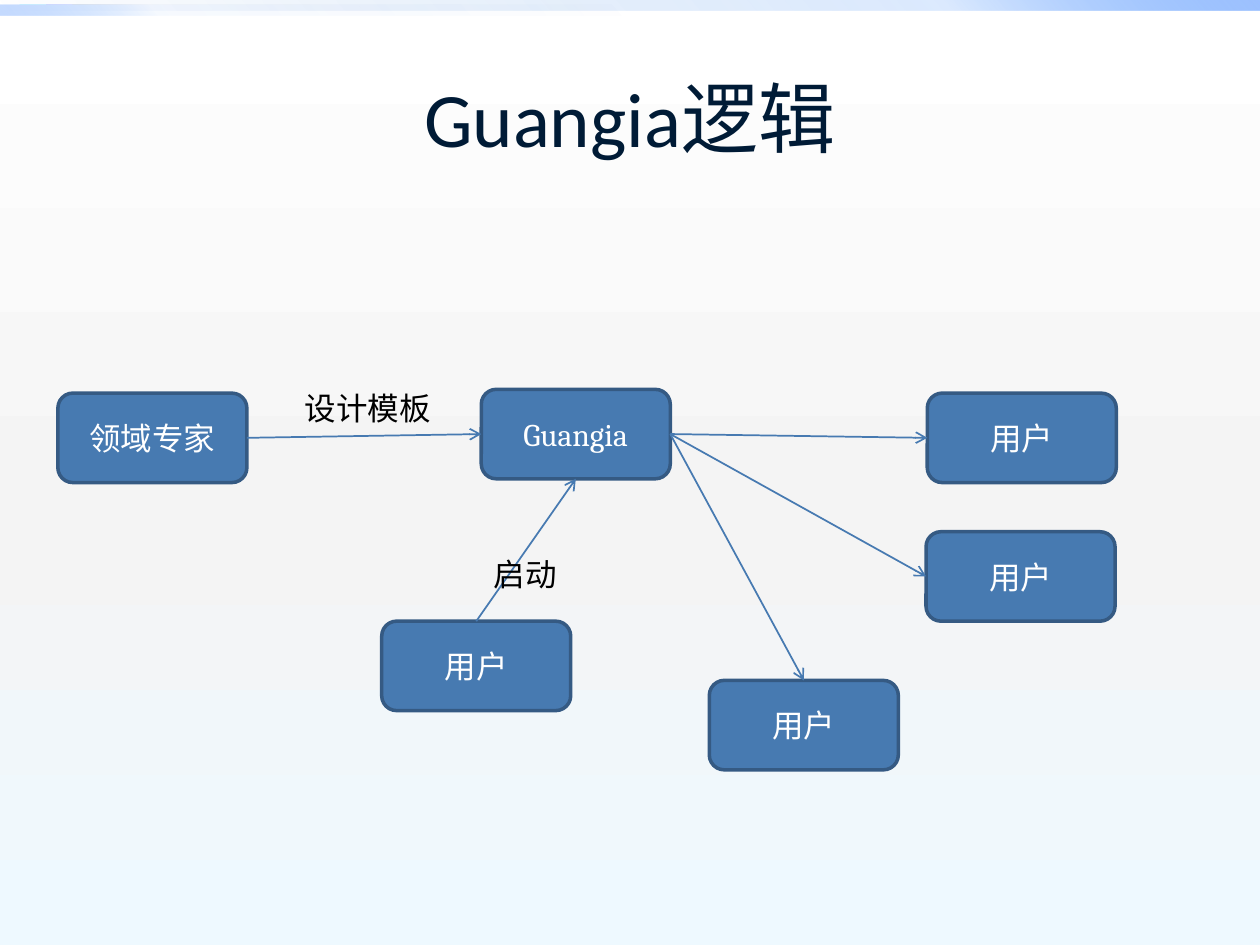
from lxml.etree import SubElement
from pptx import Presentation
from pptx.dml.color import RGBColor
from pptx.enum.shapes import MSO_CONNECTOR, MSO_SHAPE
from pptx.enum.text import MSO_ANCHOR, MSO_AUTO_SIZE, PP_ALIGN
from pptx.oxml.ns import qn
from pptx.util import Inches, Pt

TOP, LEFT, BOTTOM, RIGHT = range(4)  # connection sites of a box


def color(value):
    return RGBColor.from_string(value)


class DiagramSlide:
    BLUE, BORDER = "477AB1", "355A83"
    BOX_SIZE = Inches(1.5), Inches(0.71)
    LABEL = {"name": "Cambria", "size": Pt(18)}
    TITLE = {"name": "Calibri", "size": Pt(44)}

    def __init__(self, slide):
        self.slide = slide

    def set_gradient(self, fill, parent, stops, angle):
        """Fill with (percent, colour, opacity) stops at a clockwise angle."""
        fill.gradient()
        fill.gradient_angle = 360 - angle
        stop_list = parent.find(".//" + qn("a:gsLst"))
        for old_stop in list(stop_list):
            stop_list.remove(old_stop)
        for percent, value, opacity in stops:
            stop = SubElement(stop_list, qn("a:gs"), pos=str(percent * 1000))
            shade = SubElement(stop, qn("a:srgbClr"), val=value)
            if opacity < 100:
                SubElement(shade, qn("a:alpha"), val=str(opacity * 1000))

    def background(self, stops, angle):
        self.set_gradient(self.slide.background.fill, self.slide.element, stops, angle)

    def band(self, top, width, stops, angle):
        shape = self.slide.shapes.add_shape(
            MSO_SHAPE.RECTANGLE, 0, Inches(top), Inches(width), Inches(0.08))
        shape.shadow.inherit = False
        shape.line.fill.background()
        self.set_gradient(shape.fill, shape.element, stops, angle)

    def add_text(self, frame, text, style, value, alignment=PP_ALIGN.CENTER):
        paragraph = frame.paragraphs[0]
        paragraph.alignment = alignment
        run = paragraph.add_run()
        run.text = text
        for name, setting in style.items():
            setattr(run.font, name, setting)
        run.font.color.rgb = color(value)

    def title(self, text):
        frame = self.slide.shapes.add_textbox(
            Inches(0.5), Inches(0.3), Inches(9), Inches(1.25)).text_frame
        frame.word_wrap = True
        frame.vertical_anchor = MSO_ANCHOR.MIDDLE
        self.add_text(frame, text, self.TITLE, "001B36")

    def label(self, text, left, top, width):
        frame = self.slide.shapes.add_textbox(
            Inches(left), Inches(top), Inches(width), Inches(0.4)).text_frame
        frame.word_wrap = False
        frame.auto_size = MSO_AUTO_SIZE.SHAPE_TO_FIT_TEXT
        self.add_text(frame, text, self.LABEL, "000000", PP_ALIGN.LEFT)

    def box(self, text, left, top):
        shape = self.slide.shapes.add_shape(
            MSO_SHAPE.ROUNDED_RECTANGLE, Inches(left), Inches(top), *self.BOX_SIZE)
        shape.shadow.inherit = False
        shape.fill.solid()
        shape.fill.fore_color.rgb = color(self.BLUE)
        shape.line.color.rgb = color(self.BORDER)
        shape.line.width = Pt(2)
        shape.text_frame.vertical_anchor = MSO_ANCHOR.MIDDLE
        self.add_text(shape.text_frame, text, self.LABEL, "FFFFFF")
        return shape

    def arrow(self, start, start_site, end, end_site):
        connector = self.slide.shapes.add_connector(MSO_CONNECTOR.STRAIGHT, 0, 0, 0, 0)
        connector.begin_connect(start, start_site)
        connector.end_connect(end, end_site)
        connector.line.color.rgb = color(self.BLUE)
        connector.line.width = Pt(1)
        properties = connector.element.spPr
        SubElement(properties.find(qn("a:ln")), qn("a:tailEnd"), type="arrow")
        SubElement(properties, qn("a:effectLst"))


def main():
    presentation = Presentation()
    presentation.slide_width, presentation.slide_height = Inches(10), Inches(7.5)
    diagram = DiagramSlide(presentation.slides.add_slide(presentation.slide_layouts[6]))

    diagram.background([(0, "FFFFFF", 100), (55, "F4F4F4", 100), (100, "EEF9FF", 100)], 90)
    for top, width, middle, last, angle in [(0, 10, 20, 100, 315), (0.04, 5, 5, 60, 135)]:
        stops = [(0, "0058B7", 0), (75, "4F95FF", middle), (100, "9EC2FF", last)]
        diagram.band(top, width, stops, angle)
    diagram.title("Guangia逻辑")

    hub = diagram.box("Guangia", 3.82, 3.09)
    expert = diagram.box("领域专家", 0.46, 3.12)
    starter, *receivers = [
        diagram.box("用户", left, top)
        for left, top in [(3.03, 4.93), (7.36, 3.12), (7.35, 4.22), (5.63, 5.4)]]

    diagram.arrow(expert, RIGHT, hub, LEFT)
    diagram.arrow(starter, TOP, hub, BOTTOM)
    for receiver, site in zip(receivers, [LEFT, LEFT, TOP]):
        diagram.arrow(hub, RIGHT, receiver, site)
    diagram.label("设计模板", 2.32, 3.04, 1.21)
    diagram.label("启动", 3.82, 4.36, 0.71)

    presentation.save("out.pptx")


if __name__ == "__main__":
    main()
